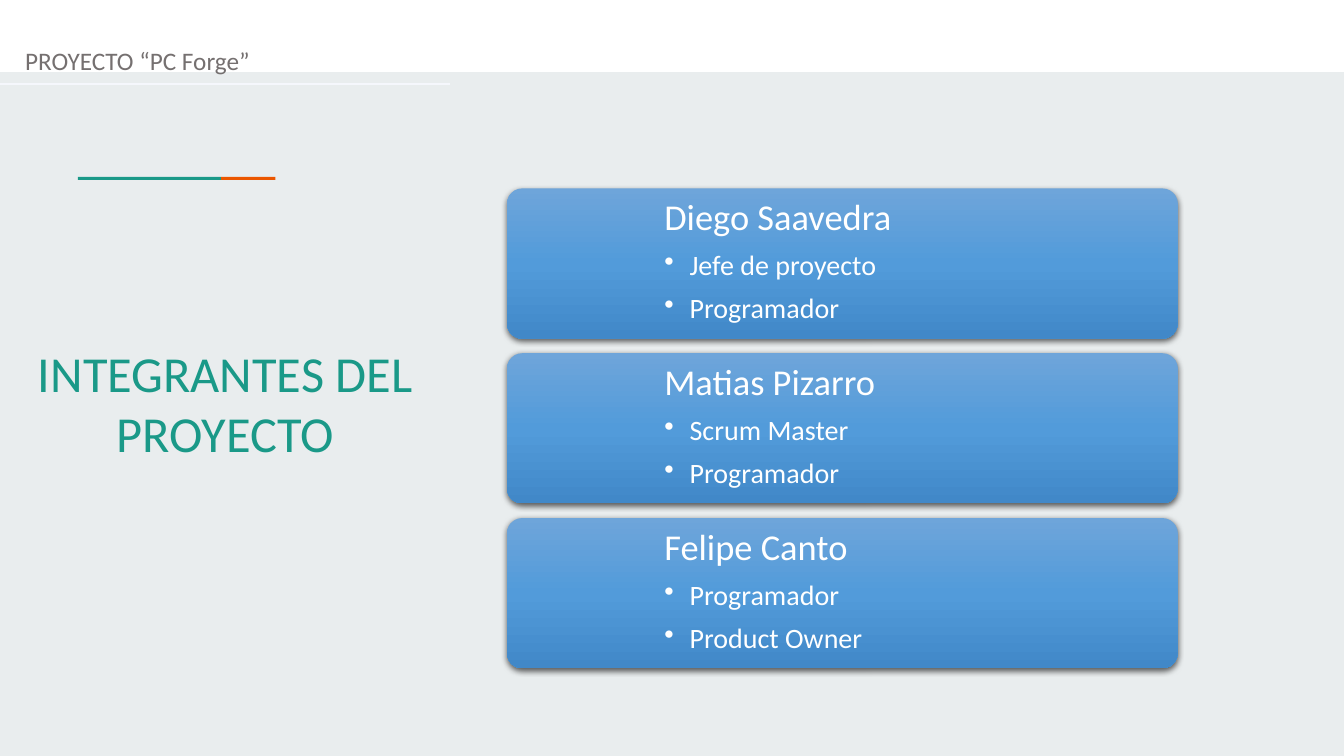
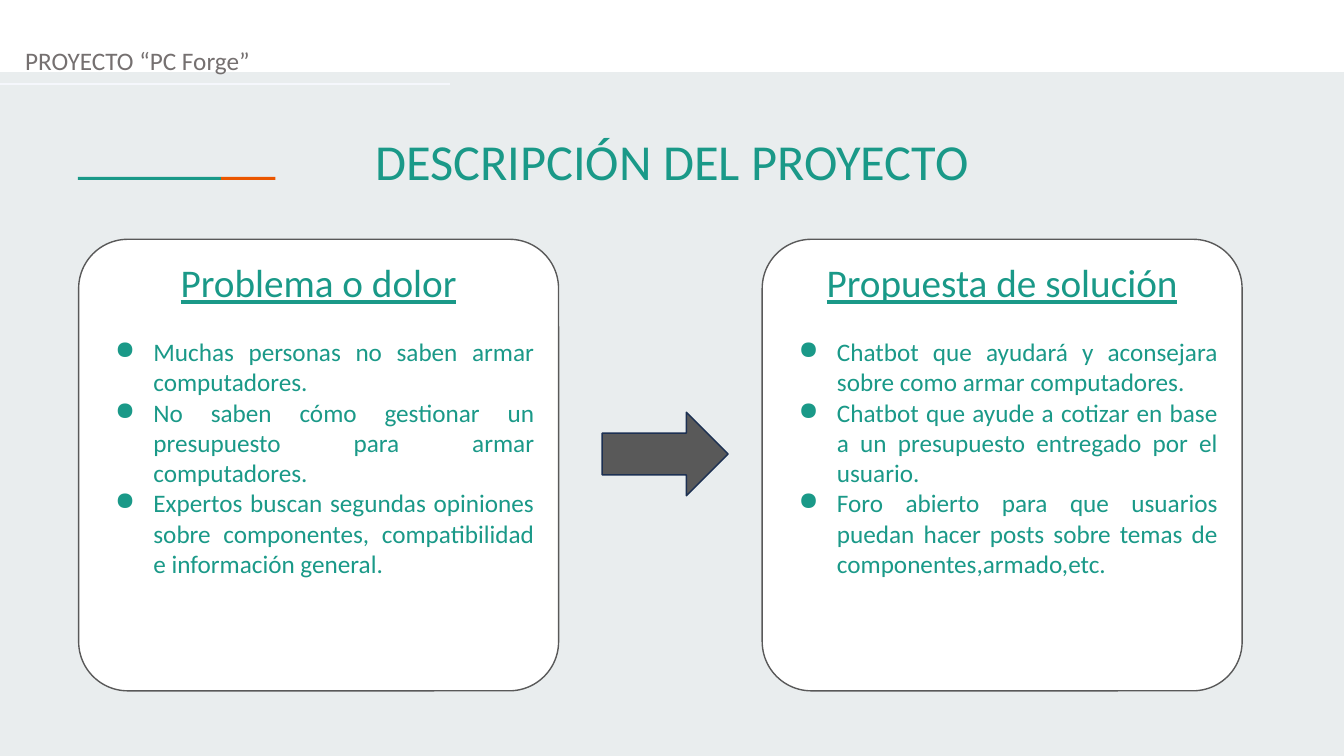
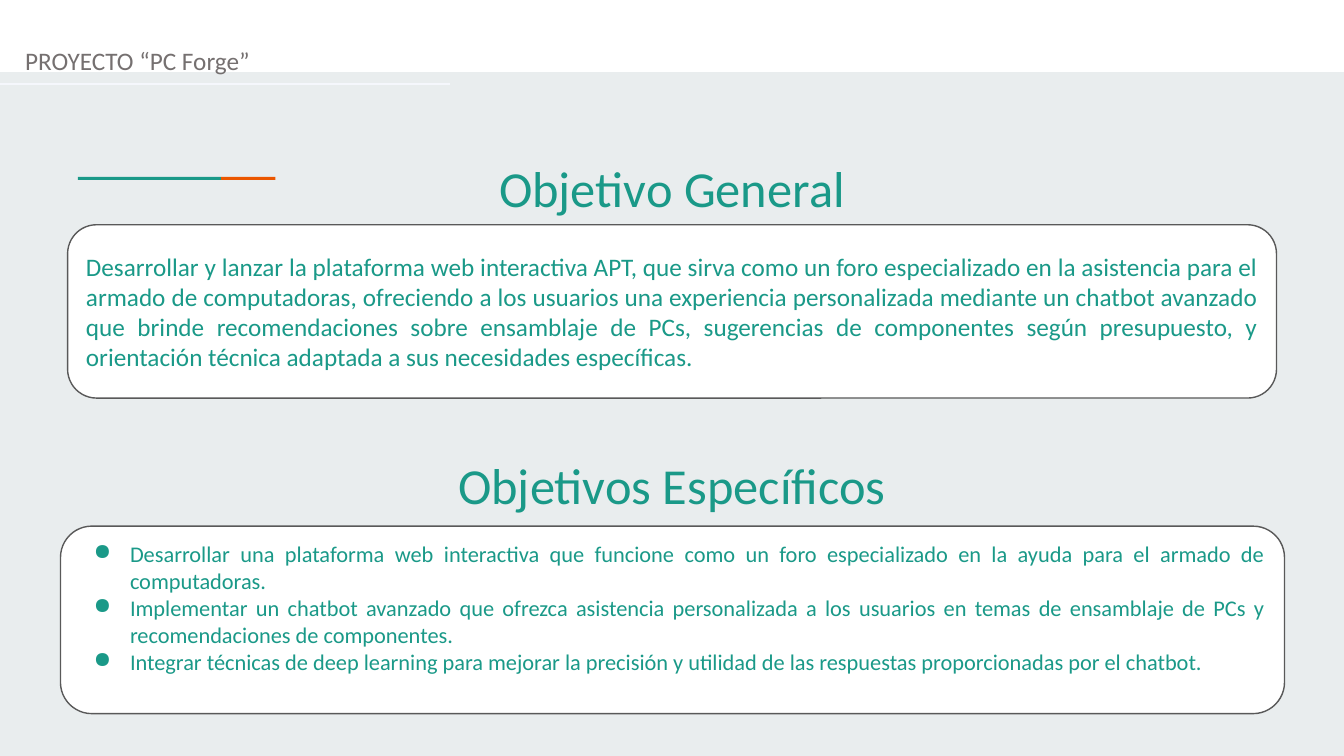
from collections import namedtuple

from lxml import etree
from pptx import Presentation
from pptx.dml.color import RGBColor
from pptx.enum.shapes import MSO_CONNECTOR, MSO_SHAPE
from pptx.enum.text import MSO_ANCHOR, MSO_AUTO_SIZE, PP_ALIGN
from pptx.oxml.ns import qn
from pptx.util import Inches, Pt

RECT = MSO_SHAPE.RECTANGLE
ROUND = MSO_SHAPE.ROUNDED_RECTANGLE
ARROW = MSO_SHAPE.RIGHT_ARROW
STRAIGHT = MSO_CONNECTOR.STRAIGHT
TOP, MIDDLE = MSO_ANCHOR.TOP, MSO_ANCHOR.MIDDLE
LEFT, CENTER, JUSTIFY = PP_ALIGN.LEFT, PP_ALIGN.CENTER, PP_ALIGN.JUSTIFY
NO_FIT = MSO_AUTO_SIZE.NONE

FONT = "Calibri"
TITLE_ONLY = 5
WHITE, PAPER, TEAL, ORANGE = "FFFFFF", "E9EDEE", "1A9988", "EB5600"
GRAY, DARK, NAVY, PALE = "757070", "595959", "1C3052", "F5F7FC"
BLUES = (("0", "6EA5DA"), ("50000", "529BDA"), ("100000", "4188C8"))

MEMBERS = (
    ("Diego Saavedra", ("Jefe de proyecto", "Programador")),
    ("Matias Pizarro", ("Scrum Master", "Programador")),
    ("Felipe Canto", ("Programador", "Product Owner")),
)
PROBLEM = ("Problema o dolor", (
    "Muchas personas no saben armar computadores.",
    "No saben cómo gestionar un presupuesto para armar computadores.",
    "Expertos buscan segundas opiniones sobre componentes, compatibilidad "
    "e información general.",
))
SOLUTION = ("Propuesta de solución", (
    "Chatbot que ayudará y aconsejara sobre como armar computadores.",
    "Chatbot que ayude a cotizar en base a un presupuesto entregado por el usuario.",
    "Foro abierto para que usuarios puedan hacer posts sobre temas de "
    "componentes,armado,etc.",
))
GENERAL_GOAL = (
    "Desarrollar y lanzar la plataforma web interactiva APT, que sirva como un foro "
    "especializado en la asistencia para el armado de computadoras, ofreciendo a los "
    "usuarios una experiencia personalizada mediante un chatbot avanzado que brinde "
    "recomendaciones sobre ensamblaje de PCs, sugerencias de componentes según "
    "presupuesto, y orientación técnica adaptada a sus necesidades específicas."
)
SPECIFIC_GOALS = (
    "Desarrollar una plataforma web interactiva que funcione como un foro "
    "especializado en la ayuda para el armado de computadoras.",
    "Implementar un chatbot avanzado que ofrezca asistencia personalizada a los "
    "usuarios en temas de ensamblaje de PCs y recomendaciones de componentes.",
    "Integrar técnicas de deep learning para mejorar la precisión y utilidad de las "
    "respuestas proporcionadas por el chatbot.",
)


class Box(namedtuple("Box", "x y w h")):
    """A rectangle in inches."""

    def share(self, x, y, w, h):
        """Return an inner box given in percent of this one."""
        return Box(self.x + self.w * x / 100, self.y + self.h * y / 100,
                   self.w * w / 100, self.h * h / 100)

    def emu(self):
        """Return the four lengths for python-pptx."""
        return [Inches(v) for v in self]


PAGE = Box(0, 0, 13.33, 7.5)


def rgb(color):
    """Turn a hex string into a colour."""
    return RGBColor.from_string(color)


def child(parent, tag, **attrs):
    """Append a drawing element to its parent."""
    return etree.SubElement(parent, qn(f"a:{tag}"), attrs)


def frame(tf, inset=(0.1, 0.05), anchor=TOP):
    """Set wrapping, insets and anchor of a text frame."""
    tf.word_wrap = True
    tf.auto_size = NO_FIT
    tf.vertical_anchor = anchor
    tf.margin_left = tf.margin_right = Inches(inset[0])
    tf.margin_top = tf.margin_bottom = Inches(inset[1])
    return tf


def write(tf, text, size=18, color=TEAL, align=LEFT, underline=False, bullet=None,
          indent=0.5, hang=0.38, before=0, spacing=1.0):
    """Add one formatted paragraph to a text frame."""
    p = tf.paragraphs[0]
    if p.runs:
        p = tf.add_paragraph()
    if bullet:
        pPr = p._p.get_or_add_pPr()
        pPr.set("marL", str(Inches(indent)))
        pPr.set("indent", str(-Inches(hang)))
        child(child(pPr, "buClr"), "srgbClr", val=color)
        child(pPr, "buChar", char=bullet)
    p.alignment = align
    p.space_before = Pt(before)
    p.line_spacing = spacing
    r = p.add_run()
    r.text = text
    r.font.name = FONT
    r.font.size = Pt(size)
    r.font.color.rgb = rgb(color)
    r.font.underline = underline


def text_box(s, box, **options):
    """Add an empty text box and return its frame."""
    return frame(s.shapes.add_textbox(*box.emu()).text_frame, **options)


def shape(s, kind, box, fill=None, line=None, adj=None):
    """Add a preset shape with flat fill and optional outline."""
    sp = s.shapes.add_shape(kind, *box.emu())
    sp.shadow.inherit = False
    if fill:
        sp.fill.solid()
        sp.fill.fore_color.rgb = rgb(fill)
    if line:
        sp.line.color.rgb = rgb(line)
        sp.line.width = Pt(1)
    else:
        sp.line.fill.background()
    if adj is not None:
        sp.adjustments[0] = adj
    return sp


def base_slide(prs, title, box):
    """Add a slide with band, header, accent, rule and title."""
    s = prs.slides.add_slide(prs.slide_layouts[TITLE_ONLY])
    shape(s, RECT, PAGE.share(0, 0, 100, 9.5), WHITE)
    shape(s, RECT, PAGE.share(5.8, 23.4, 10.65, 0.4), TEAL)
    shape(s, RECT, PAGE.share(16.45, 23.4, 4.05, 0.4), ORANGE)
    write(text_box(s, PAGE.share(1.13, 5.33, 33, 5.4)), "PROYECTO “PC Forge”", color=GRAY)
    x, y, w, _ = PAGE.share(0, 11.07, 33.5, 0).emu()
    rule = s.shapes.add_connector(STRAIGHT, x, y, x + w, y)
    rule.line.color.rgb = rgb(PALE)
    rule.line.width = Pt(1.25)
    child(rule._element.spPr, "effectLst")
    sp = s.shapes.title
    sp.left, sp.top, sp.width, sp.height = box.emu()
    heading(frame(sp.text_frame), title)
    return s


def heading(tf, text):
    """Write a large centred heading."""
    write(tf, text, size=36, align=CENTER)


def member_card(s, box, name, roles):
    """Draw a gradient card with a member's name and roles."""
    sp = shape(s, ROUND, box, adj=0.1)
    sp.fill.gradient()
    sp.fill.gradient_angle = 270
    spPr = sp._element.spPr
    stops = spPr.find(".//" + qn("a:gsLst"))
    for stop in list(stops):
        stops.remove(stop)
    for pos, color in BLUES:
        child(child(stops, "gs", pos=pos), "srgbClr", val=color)
    shadow = child(spPr.find(qn("a:effectLst")), "outerShdw", blurRad=str(Pt(4.5)),
                   dist=str(Pt(1.5)), dir="5400000", algn="ctr", rotWithShape="0")
    child(child(shadow, "srgbClr", val="000000"), "alpha", val="62000")
    tf = text_box(s, box.share(21.8, 0, 78.2, 100), inset=(0.11, 0.11))
    write(tf, name, size=26, color=WHITE, spacing=0.9)
    for role in roles:
        write(tf, role, size=20, color=WHITE, bullet="•", indent=0.25, hang=0.25,
              before=9.1, spacing=0.9)


def panel(s, box, adj=0.167, anchor=TOP):
    """Draw a white outlined panel and return its text frame."""
    return frame(shape(s, ROUND, box, WHITE, DARK, adj).text_frame, anchor=anchor)


def topic_card(s, box, title, points):
    """Draw a panel with an underlined title and bullets."""
    tf = panel(s, box, adj=0.109)
    write(tf, title, size=28, align=CENTER, underline=True)
    for i, point in enumerate(points):
        write(tf, point, align=JUSTIFY, bullet="●", before=0 if i else 22)


def members_slide(prs):
    """Build the slide of team members."""
    s = base_slide(prs, "INTEGRANTES DEL PROYECTO", PAGE.share(1.95, 44.53, 29.63, 17.47))
    area = PAGE.share(37.73, 24.93, 49.89, 63.47)
    height = 31.3
    step = (100 - height) / (len(MEMBERS) - 1)
    for i, (name, roles) in enumerate(MEMBERS):
        member_card(s, area.share(0, i * step, 100, height), name, roles)


def description_slide(prs):
    """Build the slide of problem and solution."""
    s = base_slide(prs, "DESCRIPCIÓN DEL PROYECTO", PAGE.share(0, 16.53, 100, 9.47))
    area = PAGE.share(5.85, 31.65, 86.57, 59.73)
    width = 41.25
    for x, topic in ((0, PROBLEM), (100 - width, SOLUTION)):
        topic_card(s, area.share(x, 0, width, 100), *topic)
    shape(s, ARROW, area.share(45, 38.3, 10.83, 18.5), DARK, NAVY)


def goals_slide(prs):
    """Build the slide of general and specific goals."""
    s = base_slide(prs, "Objetivo General", PAGE.share(0, 20.13, 100, 9.47))
    heading(text_box(s, PAGE.share(0, 59.47, 100, 9.47)), "Objetivos Específicos")
    tf = panel(s, PAGE.share(5.03, 29.73, 89.95, 22.93), anchor=MIDDLE)
    write(tf, GENERAL_GOAL, align=JUSTIFY)
    tf = panel(s, PAGE.share(4.5, 69.6, 91.07, 24.8))
    for goal in SPECIFIC_GOALS:
        write(tf, goal, size=16, align=JUSTIFY, bullet="●", hang=0.36)


def main():
    """Build and save the presentation."""
    prs = Presentation()
    prs.slide_width, prs.slide_height = PAGE.emu()[2:]
    fill = prs.slide_master.background.fill
    fill.solid()
    fill.fore_color.rgb = rgb(PAPER)
    members_slide(prs)
    description_slide(prs)
    goals_slide(prs)
    prs.save("out.pptx")


if __name__ == "__main__":
    main()
